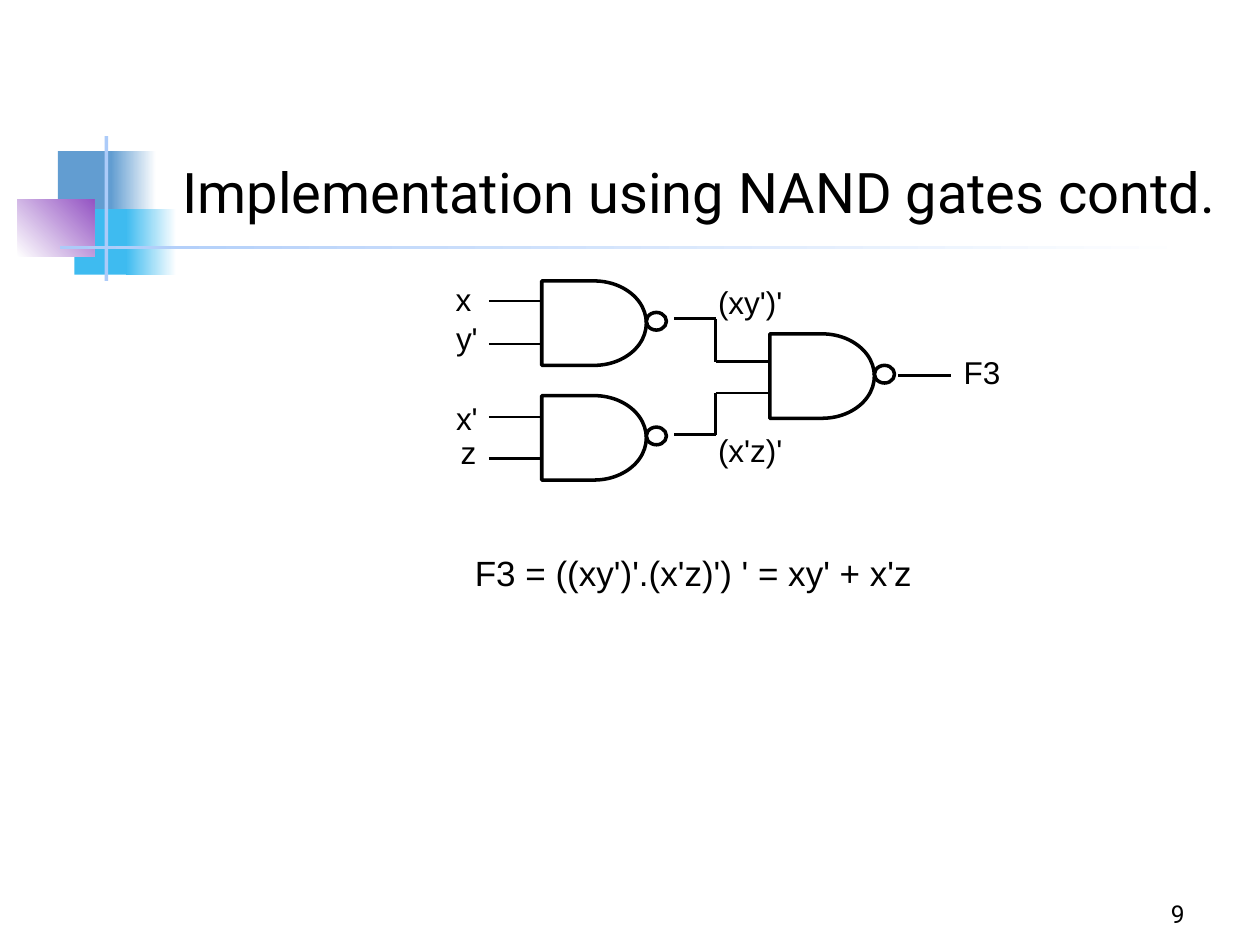
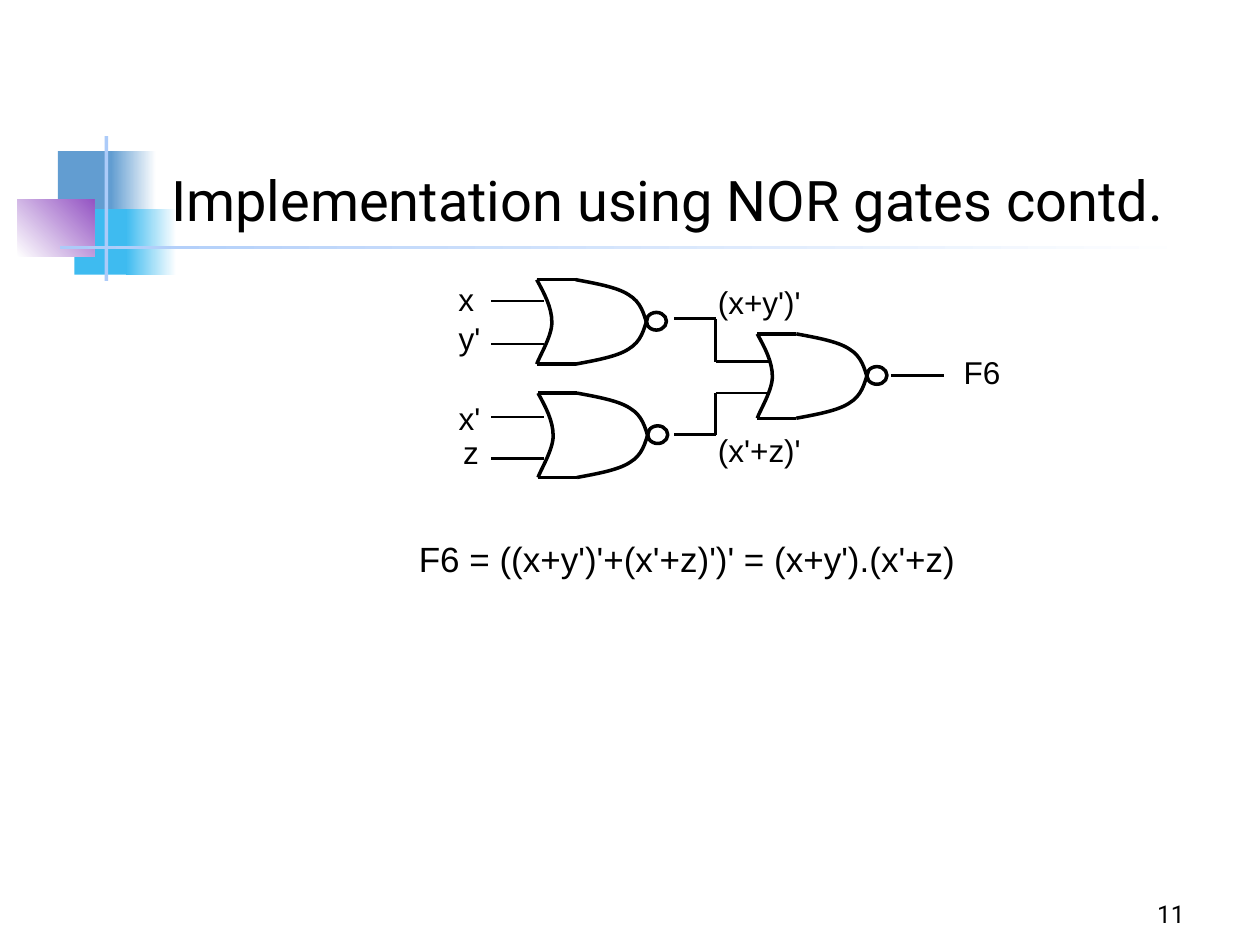
import lxml.etree
import pptx
import pptx.dml.color
import pptx.enum.shapes
import pptx.enum.text
import pptx.oxml.ns
import pptx.util

Inches, Pt = pptx.util.Inches, pptx.util.Pt
qn = pptx.oxml.ns.qn
SHAPE = pptx.enum.shapes.MSO_SHAPE
ALIGN = pptx.enum.text.PP_ALIGN
ANCHOR = pptx.enum.text.MSO_ANCHOR

BLACK, WHITE = "000000", "FFFFFF"
STEEL, SKY, PURPLE, PALE = "629DD1", "3EBBF0", "9454C3", "ACCBF9"
WIRE, OUTLINE = 1.5, 2
TITLE = {"name": "Roboto", "size": Pt(32)}
NUMBER = {"name": "Roboto", "size": Pt(14)}
LABEL = {"name": "Arial", "size": Pt(18)}
EQUATION = {"name": "Arial", "size": Pt(20)}

GATE_H = 0.67
NOR_BACK = [(0, 0), (0.06, 0.11), (0.12, 0.22), (0.12, 0.34),
            (0.12, 0.45), (0.02, 0.61), (0, GATE_H)]
NOR_NOSE = [(0.31, 0), (0.47, 0.03), (0.64, 0.06), (0.73, 0.12),
            (0.83, 0.18), (0.85, 0.27), (0.88, 0.37)]


def rgb(value):
    return pptx.dml.color.RGBColor.from_string(value)


def add_text(shapes, box, text, font, align=ALIGN.LEFT, anchor=ANCHOR.TOP):
    tf = shapes.add_textbox(*map(Inches, box)).text_frame
    tf.word_wrap = True
    tf.vertical_anchor = anchor
    p = tf.paragraphs[0]
    p.alignment = align
    r = p.add_run()
    r.text = text
    for name, value in font.items():
        setattr(r.font, name, value)
    r.font.color.rgb = rgb(BLACK)


def add_line(shapes, start, end, width=WIRE):
    c = shapes.add_connector(pptx.enum.shapes.MSO_CONNECTOR.STRAIGHT,
                             *map(Inches, (*start, *end)))
    c.line.color.rgb = rgb(BLACK)
    c.line.width = Pt(width)
    lxml.etree.SubElement(c._element.spPr, qn("a:effectLst"))


def set_outline(sp):
    """Leave the shape unfilled, with the black line of a gate."""
    sp.shadow.inherit = False
    sp.fill.background()
    sp.line.color.rgb = rgb(BLACK)
    sp.line.width = Pt(OUTLINE)


def add_outlined(shapes, kind, *box):
    set_outline(shapes.add_shape(kind, *map(Inches, box)))


def add_curve(shapes, points):
    """Draw a chain of cubic Bezier pieces through every third point."""
    start, *rest = [tuple(map(Inches, point)) for point in points]
    fb = shapes.build_freeform(*start)
    fb.add_line_segments(rest, close=False)
    sp = fb.convert_to_shape()
    segments = list(sp._element.iter(qn("a:lnTo")))
    for i in range(0, len(segments), 3):
        curve = lxml.etree.Element(qn("a:cubicBezTo"))
        segments[i].addprevious(curve)
        for segment in segments[i:i + 3]:
            curve.append(segment[0])
            segment.getparent().remove(segment)
    set_outline(sp)


def add_nand(shapes, left, top):
    add_outlined(shapes, SHAPE.OVAL, left + 0.83, top + 0.25, 0.16, 0.14)
    add_outlined(shapes, SHAPE.FLOWCHART_DELAY, left, top, 0.83, GATE_H)


def add_nor(shapes, left, top):
    add_outlined(shapes, SHAPE.OVAL, left + 0.87, top + 0.26, 0.16, 0.14)
    lower_nose = [(x, GATE_H - y) for x, y in NOR_NOSE]
    for curve in (NOR_BACK, NOR_NOSE, lower_nose):
        add_curve(shapes, [(left + x, top + y) for x, y in curve])
    for y in (top, top + GATE_H):
        add_line(shapes, (left, y), (left + 0.31, y), OUTLINE)


def add_circuit(slide, left, top, add_gate, gates, middle, middle_width,
                output, input_shift, output_x):
    """Two input gates feeding an output gate; gates are offsets from left, top."""
    shapes = slide.shapes.add_group_shape().shapes

    def at(x, y):
        return left + x, top + y

    inputs = (("x", 0, 0.42, 0, 0.22), ("y'", 0.05, 0.42, 0.31, 0.56),
              ("x'", 0.05, 0.42, 0.95, 1.14), ("z", 0.13, 0.33, 1.22, 1.47))
    for text, label_x, width, label_y, wire_y in inputs:
        add_line(shapes, at(0.46 + input_shift, wire_y), at(0.88 + input_shift, wire_y))
        add_text(shapes, (*at(label_x + input_shift, label_y), width, 0.4),
                 text, LABEL, ALIGN.RIGHT)

    for text, label_y, gate_y, end_y in zip(middle, (0.03, 1.2), (0.36, 1.28), (0.7, 0.95)):
        bends = [at(1.93, gate_y), at(2.26, gate_y), at(2.26, end_y), at(2.68, end_y)]
        for start, end in zip(bends, bends[1:]):
            add_line(shapes, start, end)
        add_text(shapes, (*at(2.18, label_y), middle_width, 0.4), text, LABEL)

    add_line(shapes, at(output_x, 0.81), at(output_x + 0.42, 0.81))
    add_text(shapes, (*at(4.13, 0.58), 0.58, 0.4), output, LABEL)
    for gate in gates:
        add_gate(shapes, *at(*gate))


def add_decoration(slide, left, top):
    """Coloured squares and cross lines; gradients run from white to the colour."""
    parts = ((0.32, 0.12, 0.48, 0.52, STEEL, None),
             (0.74, 0.12, 0.36, 0.52, STEEL, 180),
             (0.45, 0.58, 0.46, 0.52, SKY, None),
             (0.86, 0.58, 0.4, 0.52, SKY, 180),
             (0, 0.5, 0.61, 0.46, PURPLE, 45),
             (0.69, 0, 0.03, 1.15, PALE, None),
             (0.34, 0.87, 9, 0.03, PALE, 180))
    for x, y, width, height, color, angle in parts:
        sp = slide.shapes.add_shape(SHAPE.RECTANGLE,
                                    *map(Inches, (left + x, top + y, width, height)))
        sp.shadow.inherit = False
        sp.line.fill.background()
        if angle is None:
            sp.fill.solid()
            sp.fill.fore_color.rgb = rgb(color)
        else:
            sp.fill.gradient()
            sp.fill.gradient_angle = angle
            for stop, stop_color in zip(sp.fill.gradient_stops, (WHITE, color)):
                stop.color.rgb = rgb(stop_color)


def add_gate_slide(prs, title, title_at, equation, equation_box, number, circuit):
    slide = prs.slides.add_slide(prs.slide_layouts[6])
    add_decoration(slide, 0.14, 1.08)
    add_text(slide.shapes, (*title_at, 8.5, 0.83), title, TITLE, anchor=ANCHOR.BOTTOM)
    add_text(slide.shapes, equation_box, equation, EQUATION, ALIGN.CENTER)
    add_circuit(slide, 3.42, 2.17, **circuit)
    add_text(slide.shapes, (7.42, 6.92, 2.08, 0.5), number, NUMBER, ALIGN.RIGHT, ANCHOR.BOTTOM)


def main():
    prs = pptx.Presentation()
    prs.slide_width, prs.slide_height = Inches(10), Inches(7.5)
    add_gate_slide(
        prs, "Implementation using NAND gates contd.", (1.35, 1),
        "F3 = ((xy')'.(x'z)') ' = xy' + x'z", (3.42, 4.33, 4.17, 0.43), "9",
        {"add_gate": add_nand, "gates": ((0.88, 0.06), (0.88, 0.97), (2.69, 0.48)),
         "middle": ("(xy')'", "(x'z)'"), "middle_width": 0.78, "output": "F3",
         "input_shift": 0, "output_x": 3.71})
    add_gate_slide(
        prs, "Implementation using NOR gates contd.", (1.26, 1.07),
        "F6 = ((x+y')'+(x'+z)')' = (x+y').(x'+z)", (3.04, 4.22, 4.83, 0.43), "11",
        {"add_gate": add_nor, "gates": ((0.84, 0.05), (0.85, 0.95), (2.59, 0.48)),
         "middle": ("(x+y')'", "(x'+z)'"), "middle_width": 0.9, "output": "F6",
         "input_shift": 0.02, "output_x": 3.65})
    prs.save("out.pptx")


if __name__ == "__main__":
    main()
